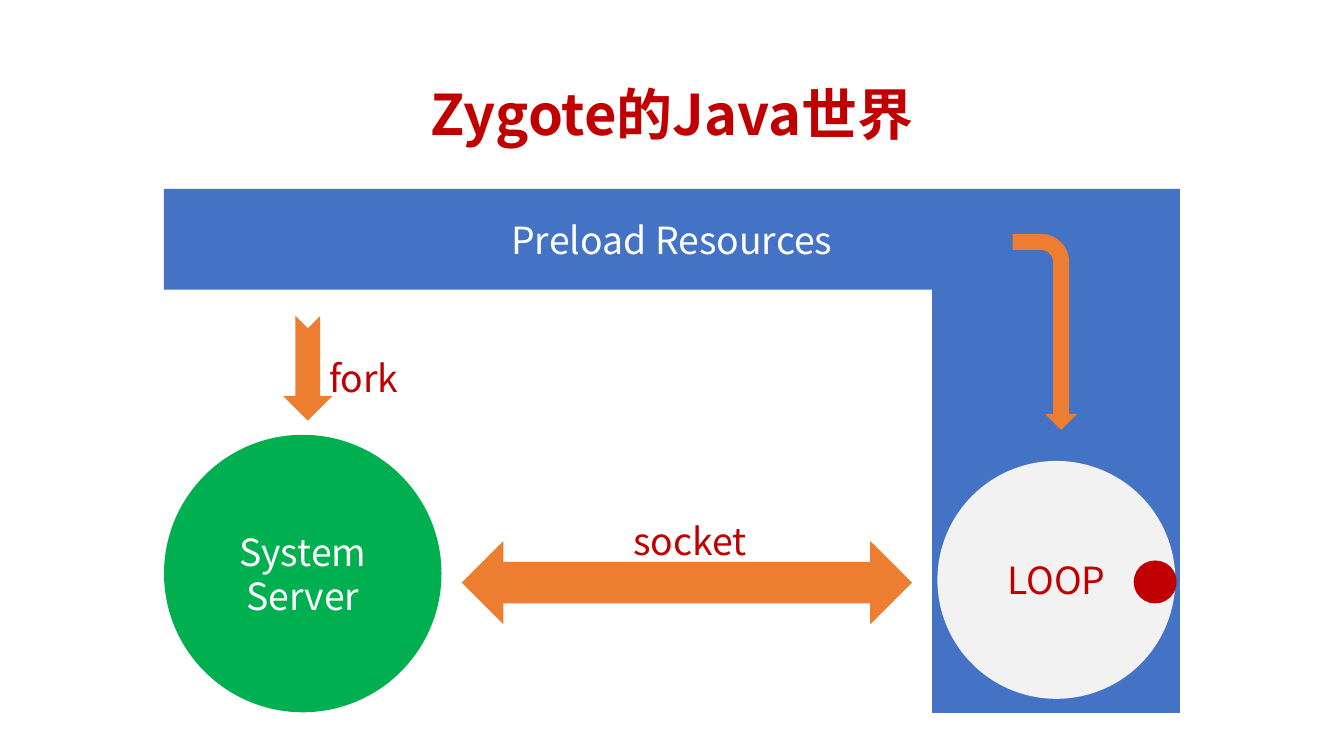
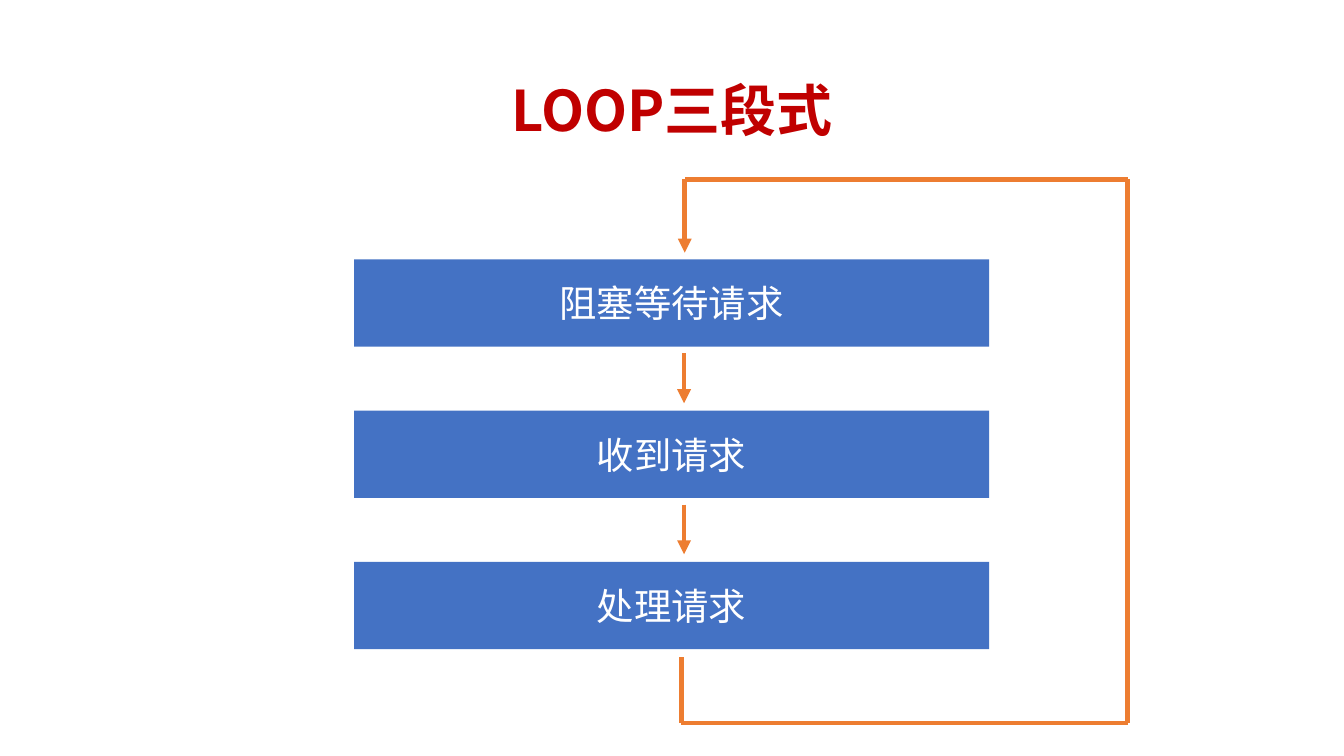
from lxml import etree
from pptx import Presentation
from pptx.dml.color import RGBColor
from pptx.enum.shapes import MSO_CONNECTOR, MSO_SHAPE
from pptx.enum.text import MSO_ANCHOR, PP_ALIGN
from pptx.oxml.ns import qn
from pptx.util import Pt

RECT, OVAL = MSO_SHAPE.RECTANGLE, MSO_SHAPE.OVAL
TWO_WAY = MSO_SHAPE.LEFT_RIGHT_ARROW
NOTCHED = MSO_SHAPE.NOTCHED_RIGHT_ARROW
BENT = MSO_SHAPE.BENT_ARROW
STRAIGHT = MSO_CONNECTOR.STRAIGHT
LEFT, CENTER = PP_ALIGN.LEFT, PP_ALIGN.CENTER
TOP, MIDDLE = MSO_ANCHOR.TOP, MSO_ANCHOR.MIDDLE

# Shared look
FONT = "Noto Sans CJK SC"
RED, BLUE, ORANGE = "C00000", "4472C4", "ED7D31"
GREEN, GREY, WHITE = "00B050", "F2F2F2", "FFFFFF"
SCALE = 4572  # 200 px to the inch


def px(n):
    return n * SCALE


def color(value):
    return RGBColor.from_string(value)


def write(sp, text, size=20, ink=WHITE, bold=False, align=CENTER,
          anchor=MIDDLE, spacing=None):
    tf = sp.text_frame
    tf.word_wrap = True
    tf.vertical_anchor = anchor
    for i, line in enumerate(text.split("\n")):
        p = tf.add_paragraph() if i else tf.paragraphs[0]
        p.alignment = align
        if spacing:
            p.line_spacing = spacing
        r = p.add_run()
        r.text = line
        r.font.name, r.font.size, r.font.bold = FONT, Pt(size), bold
        r.font.color.rgb = color(ink)
        # East Asian glyphs need their own typeface entry
        etree.SubElement(r.font._element, qn("a:ea"), typeface=FONT)


def add_label(slide, x, y, w, h, text, **fmt):
    sp = slide.shapes.add_textbox(px(x), px(y), px(w), px(h))
    write(sp, text, ink=RED, **fmt)


def add_title(slide, y, h, text):
    add_label(slide, 138, y, 1724, h, text, size=30, bold=True, spacing=0.9)


def add_block(shapes, kind, x, y, w, h, fill, text=None, rotation=0, **fmt):
    sp = shapes.add_shape(kind, px(x), px(y), px(w), px(h))
    sp.shadow.inherit = False
    sp.fill.solid()
    sp.fill.fore_color.rgb = color(fill)
    sp.line.fill.background()
    sp.rotation = rotation
    if text:
        write(sp, text, **fmt)
    return sp


def add_line(slide, start, end, arrow=False):
    ends = [px(n) for n in (*start, *end)]
    cxn = slide.shapes.add_connector(STRAIGHT, *ends)
    cxn.line.color.rgb = color(ORANGE)
    cxn.line.width = Pt(2.5)
    if arrow:
        etree.SubElement(cxn.line._get_or_add_ln(), qn("a:tailEnd"),
                         type="triangle")
    etree.SubElement(cxn._element.spPr, qn("a:effectLst"))


def build_zygote(slide):
    shapes = slide.shapes
    add_title(slide, 116, 118, "Zygote的Java世界")
    add_block(shapes, RECT, 244, 281, 1512, 150, BLUE, "Preload Resources")

    # Arrows to and from the system server
    add_block(shapes, TWO_WAY, 687, 805, 670, 124, ORANGE)
    add_label(slide, 818, 762, 418, 88, "socket", anchor=TOP)
    add_block(shapes, NOTCHED, 380, 511, 156, 74, ORANGE, rotation=90)
    add_label(slide, 470, 518, 202, 88, "fork", align=LEFT, anchor=TOP)

    # Loop with its marker
    add_block(shapes, RECT, 1387, 420, 369, 641, BLUE)
    loop = shapes.add_group_shape().shapes
    add_block(loop, OVAL, 1395, 686, 354, 354, GREY, "LOOP", ink=RED)
    add_block(loop, OVAL, 1687, 834, 64, 64, RED)

    # System server
    server = add_block(shapes, OVAL, 244, 647, 413, 413, GREEN,
                       "System\nServer")
    server.text_frame.margin_left = server.text_frame.margin_right = 0
    add_block(shapes, BENT, 1409, 446, 292, 96, ORANGE, rotation=90)


def build_loop_steps(slide):
    add_title(slide, 60, 218, "LOOP三段式")

    # Steps, with an arrow from each to the next
    top, pitch = 386, 225
    for i, step in enumerate(("阻塞等待请求", "收到请求", "处理请求")):
        y = top + i * pitch
        add_block(slide.shapes, RECT, 527, y, 945, 130, BLUE, step)
        if i:
            add_line(slide, (1018, y - 85), (1018, y - 11), arrow=True)

    # Way back from the last step to the first
    route = [(1014, 978), (1014, 1076), (1678, 1076), (1678, 267),
             (1019, 267), (1019, 376)]
    for start, end in zip(route, route[1:]):
        add_line(slide, start, end, arrow=end == route[-1])


def main():
    prs = Presentation()
    prs.slide_width, prs.slide_height = px(2000), px(1125)
    for build in (build_zygote, build_loop_steps):
        build(prs.slides.add_slide(prs.slide_layouts[6]))
    prs.save("out.pptx")


if __name__ == "__main__":
    main()
